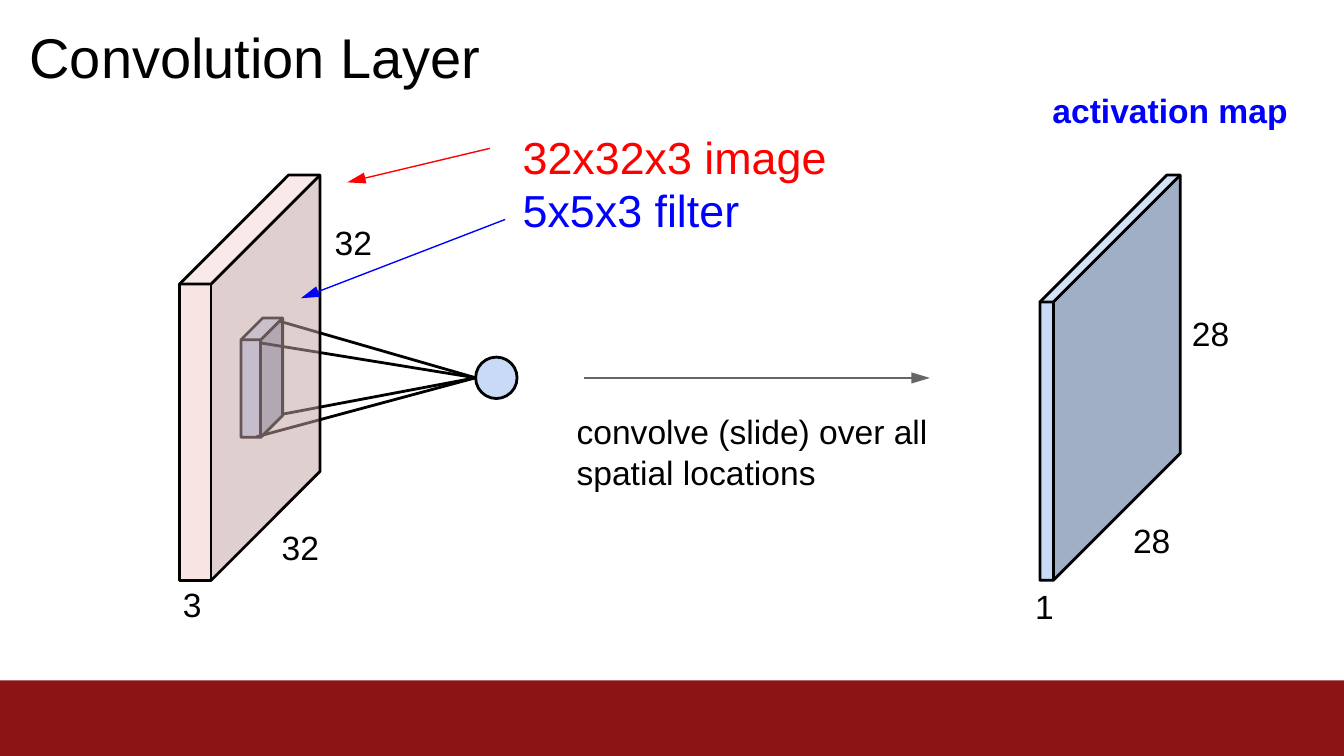
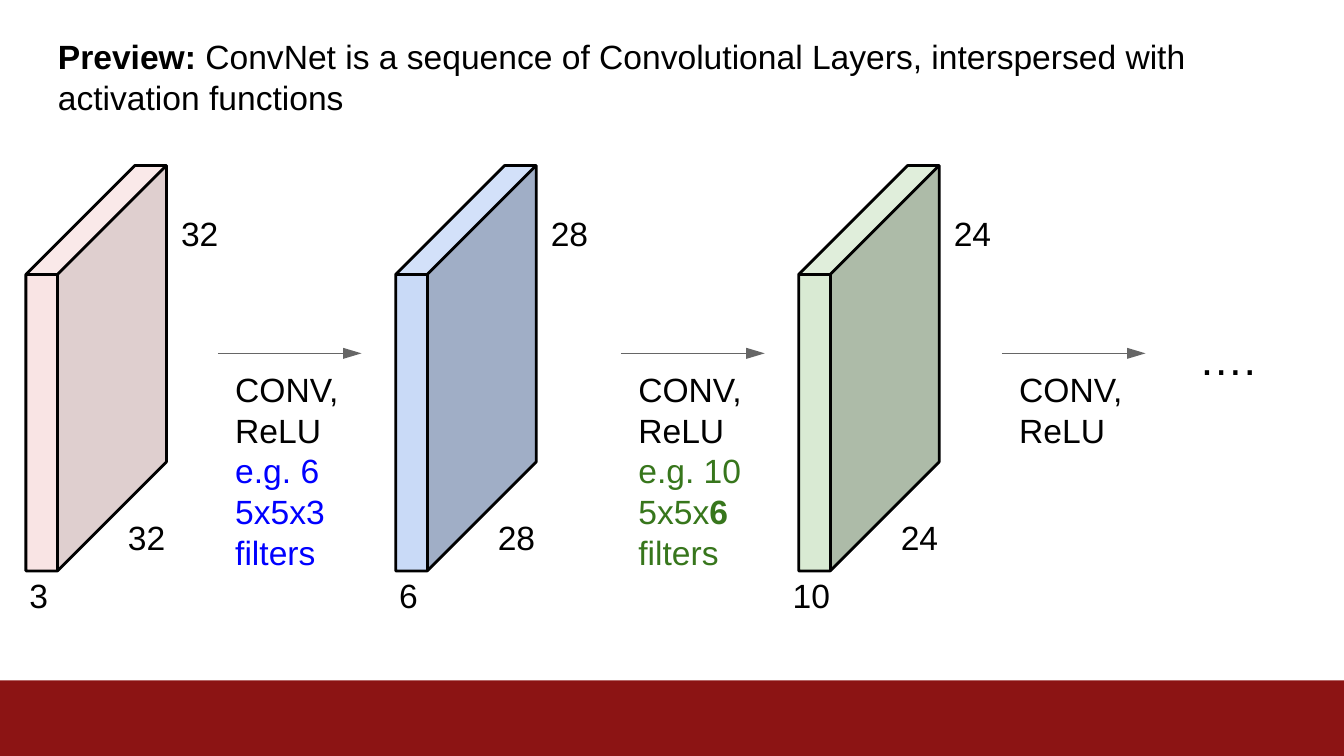
from dataclasses import dataclass

from lxml.etree import SubElement
from pptx import Presentation
from pptx.dml.color import RGBColor
from pptx.enum.shapes import MSO_CONNECTOR, MSO_SHAPE
from pptx.enum.text import MSO_ANCHOR, MSO_AUTO_SIZE, PP_ALIGN
from pptx.oxml.ns import qn
from pptx.util import Pt


@dataclass(frozen=True)
class Theme:
    font: str = "Arial"
    title_size: float = 30
    large_size: float = 24
    text_size: float = 18
    outline: float = 1.5
    thin: float = 0.75
    black: str = "000000"
    red: str = "FF0000"
    blue: str = "0000FF"
    green: str = "37761C"
    gray: str = "666666"
    band: str = "8C1414"
    # Face colours in the order front, side, top
    pink_faces: tuple = ("F4CCCC", "C3A3A3", "F6D6D6")
    blue_faces: tuple = ("C9DAF7", "A0AEC6", "D3E1F9")
    green_faces: tuple = ("D9EAD3", "ADBBA8", "E0EEDB")
    pink_alpha: int = 52


THEME = Theme()
WIDTH, HEIGHT, BAND_HEIGHT = 720, 405, 40.5

# Volume sizes: front width, skew, front height
INPUT_SIZE = (16.9, 58.4, 158.8)
MAP_SIZE = (7.2, 68, 149.1)
FILTER_SIZE = (10.6, 11.7, 52.2)

# Label offsets: side from right and top, base from right and bottom,
# centre of the depth label from left and bottom
INPUT_OFFSETS = ((7.8, 25.2), (-20.6, -28.8), (6.8, 1.9))
MAP_OFFSETS = ((6.3, 74), (-25.3, -32.4), (2.4, 2.9))

# Slide 1
LAYER_TITLE = [[("Convolution Layer", THEME.black, False)]]
FILTER_CORNER = (129.1, 170.4)
INPUT_VOLUME = ((96.2, 93.8), INPUT_SIZE, THEME.pink_faces, THEME.pink_alpha)
ACTIVATION_MAP = ((557.1, 93.8), MAP_SIZE, THEME.blue_faces, None)
NEURON_LEFT, NEURON_MIDDLE, NEURON_SIZE = 254.8, 202.4, 22.2
CONE_STARTS = [(137.4, 234), (138.9, 183.6), (149.8, 172.1), (151.9, 221.8)]
LAYER_ARROWS = [
    ((262.4, 79.5), (186, 97.7), THEME.red),
    ((270.6, 117.6), (161.2, 159.8), THEME.blue),
    ((312.8, 202.5), (498.2, 202.5), THEME.gray),
]
INPUT_CAPTION = [
    [("32x32x3 image", THEME.red, False)],
    [("5x5x3 filter", THEME.blue, False)],
]
CONVOLVE_CAPTION = [[("convolve (slide) over all spatial locations", THEME.black, False)]]
MAP_CAPTION = [[("activation map", THEME.blue, True)]]

# Slide 2
PREVIEW_TITLE = [[
    ("Preview: ", THEME.black, True),
    ("ConvNet is a sequence of Convolutional Layers, interspersed with "
     "activation functions", THEME.black, False),
]]
VOLUME_TOP, STEP_MIDDLE, STEP_LENGTH = 88.7, 189.3, 77
VOLUMES = [
    (13.9, THEME.pink_faces, THEME.pink_alpha, ("32", "32", "3")),
    (212, THEME.blue_faces, None, ("28", "28", "6")),
    (427.9, THEME.green_faces, None, ("24", "24", "10")),
]
CONV_RELU = [("CONV, ReLU", THEME.black, False)]
STEPS = [
    (116.7, [CONV_RELU, [("e.g. 6 5x5x3 filters", THEME.blue, False)]]),
    (332.7, [CONV_RELU, [
        ("e.g. 10 5x5x", THEME.green, False),
        ("6", THEME.green, True),
        (" filters", THEME.green, False),
    ]]),
    (536.7, [CONV_RELU]),
]
DOTS = [[("….", THEME.black, False)]]


def rgb(value):
    return RGBColor.from_string(value)


def place(shape, left, top, width, height):
    shape.left, shape.top = Pt(left), Pt(top)
    shape.width, shape.height = Pt(width), Pt(height)


def write(box, paragraphs, size, align=PP_ALIGN.LEFT, spacing=1.0):
    """Fill a box with paragraphs, each a list of (text, colour, bold) runs."""
    frame = box.text_frame
    frame.word_wrap = True
    frame.auto_size = MSO_AUTO_SIZE.NONE
    frame.vertical_anchor = MSO_ANCHOR.TOP
    frame.margin_left = frame.margin_right = frame.margin_top = frame.margin_bottom = 0
    for index, runs in enumerate(paragraphs):
        para = frame.paragraphs[0] if index == 0 else frame.add_paragraph()
        para.alignment = align
        para.line_spacing = spacing
        para.space_before = para.space_after = Pt(0)
        for text, color, bold in runs:
            span = para.add_run()
            span.text = text
            span.font.name = THEME.font
            span.font.size = Pt(size)
            span.font.bold = bold
            span.font.color.rgb = rgb(color)


def add_text(slide, left, top, width, height, paragraphs, size=THEME.text_size, **style):
    box = slide.shapes.add_textbox(Pt(left), Pt(top), Pt(width), Pt(height))
    write(box, paragraphs, size, **style)


def set_title(slide, left, top, width, height, paragraphs, size, **style):
    place(slide.shapes.title, left, top, width, height)
    write(slide.shapes.title, paragraphs, size, **style)


def paint(shape, fill=None, line=None, alpha=None):
    shape.shadow.inherit = False
    if fill:
        shape.fill.solid()
        shape.fill.fore_color.rgb = rgb(fill)
    else:
        shape.fill.background()
    if alpha:
        color = shape.element.spPr.find(f"{qn('a:solidFill')}/{qn('a:srgbClr')}")
        SubElement(color, qn("a:alpha")).set("val", str(alpha * 1000))
    if line:
        shape.line.color.rgb = rgb(line)
        shape.line.width = Pt(THEME.outline)
    else:
        shape.line.fill.background()


def add_outline(slide, contours):
    """Build one freeform from (points, closed) contours."""
    builder = None
    for points, closed in contours:
        start, *rest = [(Pt(x), Pt(y)) for x, y in points]
        if builder is None:
            builder = slide.shapes.build_freeform(*start)
        else:
            builder.move_to(*start)
        builder.add_line_segments(rest, close=closed)
    return builder.convert_to_shape()


def add_volume(slide, corner, size, faces, alpha=None):
    """Draw a slanted block whose bounding box starts at corner."""
    left, top = corner
    front, skew, height = size
    edge, right = left + front, left + front + skew
    shoulder, bottom = top + skew, top + skew + height
    front_left, front_right = (left, shoulder), (edge, shoulder)
    back_left, back_right = (left + skew, top), (right, top)
    base_left, base_right, base_back = (left, bottom), (edge, bottom), (right, top + height)
    polygons = [
        [front_left, front_right, base_right, base_left],
        [front_right, back_right, base_back, base_right],
        [front_left, back_left, back_right, front_right],
    ]
    for points, fill in zip(polygons, faces):
        paint(add_outline(slide, [(points, True)]), fill=fill, alpha=alpha)
    silhouette = [front_left, back_left, back_right, base_back, base_right, base_left]
    paint(add_outline(slide, [
        (silhouette, True),
        ([front_left, front_right, back_right], False),
        ([front_right, base_right], False),
    ]), line=THEME.black)


def label_volume(slide, corner, size, labels, offsets):
    left, top = corner
    front, skew, height = size
    right, bottom = left + front + skew, top + skew + height
    (side_x, side_y), (base_x, base_y), (depth_x, depth_y) = offsets
    width = 30
    spots = [
        (right + side_x, top + side_y, PP_ALIGN.LEFT),
        (right + base_x, bottom + base_y, PP_ALIGN.LEFT),
        (left + depth_x - width / 2, bottom + depth_y, PP_ALIGN.CENTER),
    ]
    for text, (x, y, align) in zip(labels, spots):
        add_text(slide, x, y, width, 22, [[(text, THEME.black, False)]], align=align)


def add_line(slide, start, end, color, width, arrow=False):
    line = slide.shapes.add_connector(
        MSO_CONNECTOR.STRAIGHT, *(Pt(value) for value in (*start, *end)))
    line.line.color.rgb = rgb(color)
    line.line.width = Pt(width)
    properties = line.element.spPr
    if arrow:
        head = SubElement(properties.find(qn("a:ln")), qn("a:tailEnd"))
        for key, value in (("type", "triangle"), ("w", "med"), ("len", "lg")):
            head.set(key, value)
    SubElement(properties, qn("a:effectLst"))


def add_band(layout, slide):
    """Draw the footer band and hand it to the layout that all slides share."""
    band = slide.shapes.add_shape(
        MSO_SHAPE.RECTANGLE, 0, Pt(HEIGHT - BAND_HEIGHT), Pt(WIDTH), Pt(BAND_HEIGHT))
    paint(band, fill=THEME.band)
    band.element.nvSpPr.cNvPr.set("id", "99")
    layout.shapes.element.append(band.element)


def build_layer_slide(slide):
    set_title(slide, 15.8, 12, 300, 38, LAYER_TITLE, THEME.title_size)
    add_volume(slide, FILTER_CORNER, FILTER_SIZE, THEME.blue_faces)
    neuron = slide.shapes.add_shape(
        MSO_SHAPE.OVAL, Pt(NEURON_LEFT), Pt(NEURON_MIDDLE - NEURON_SIZE / 2),
        Pt(NEURON_SIZE), Pt(NEURON_SIZE))
    paint(neuron, fill=THEME.blue_faces[0], line=THEME.black)
    for start in CONE_STARTS:
        add_line(slide, start, (NEURON_LEFT, NEURON_MIDDLE), THEME.black, THEME.outline)
    add_volume(slide, *INPUT_VOLUME)
    label_volume(slide, *INPUT_VOLUME[:2], ("32", "32", "3"), INPUT_OFFSETS)
    add_volume(slide, *ACTIVATION_MAP)
    label_volume(slide, *ACTIVATION_MAP[:2], ("28", "28", "1"), MAP_OFFSETS)
    for start, end, color in LAYER_ARROWS:
        add_line(slide, start, end, color, THEME.thin, arrow=True)
    add_text(slide, 280, 69.7, 170, 58, INPUT_CAPTION, THEME.large_size, spacing=Pt(28.5))
    add_text(slide, 308.9, 220, 192, 44, CONVOLVE_CAPTION, spacing=1.01)
    add_text(slide, 563.8, 48.2, 132, 22, MAP_CAPTION)


def build_preview_slide(slide):
    set_title(slide, 31, 19.2, 671, 53, PREVIEW_TITLE, THEME.text_size, spacing=1.01)
    for left, faces, alpha, labels in VOLUMES:
        corner = (left, VOLUME_TOP)
        add_volume(slide, corner, INPUT_SIZE, faces, alpha)
        label_volume(slide, corner, INPUT_SIZE, labels, INPUT_OFFSETS)
    for left, caption in STEPS:
        add_line(slide, (left, STEP_MIDDLE), (left + STEP_LENGTH, STEP_MIDDLE),
                 THEME.gray, THEME.thin, arrow=True)
        add_text(slide, left + 9.3, STEP_MIDDLE + 8.2, 59, 44 if len(caption) == 1 else 109,
                 caption, spacing=1.01)
    add_text(slide, 642.2, 177, 40, 30, DOTS, THEME.large_size)


def main():
    deck = Presentation()
    deck.slide_width, deck.slide_height = Pt(WIDTH), Pt(HEIGHT)
    layout = deck.slide_layouts.get_by_name("Title Only")
    pages = [deck.slides.add_slide(layout) for _ in range(2)]
    add_band(layout, pages[0])
    build_layer_slide(pages[0])
    build_preview_slide(pages[1])
    deck.save("out.pptx")


if __name__ == "__main__":
    main()
